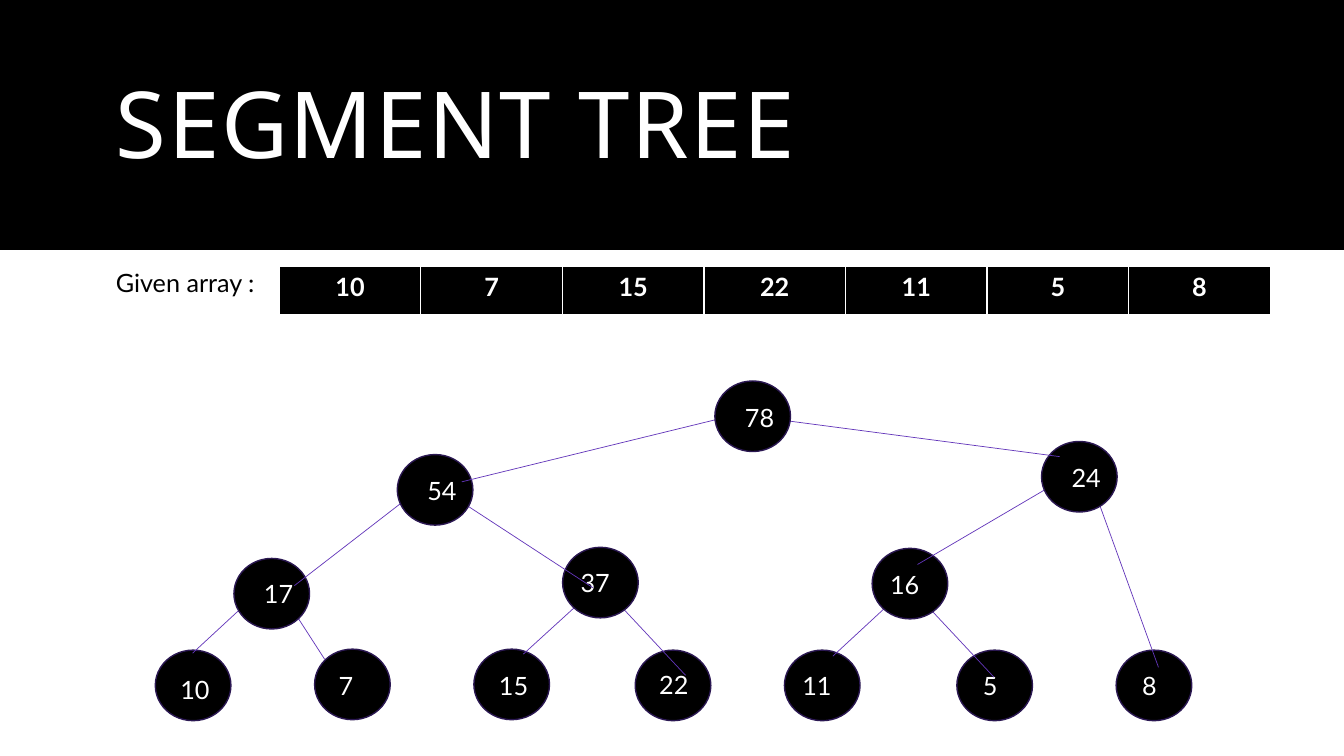
from dataclasses import dataclass

from lxml.etree import SubElement
from pptx import Presentation
from pptx.dml.color import RGBColor
from pptx.enum.shapes import MSO_CONNECTOR as Connector, MSO_SHAPE as Shape
from pptx.enum.text import MSO_ANCHOR as Anchor, PP_ALIGN as Align
from pptx.oxml.ns import qn
from pptx.util import Inches, Pt

BLACK = RGBColor(0, 0, 0)
WHITE = RGBColor(255, 255, 255)
OUTLINE = RGBColor(0x2B, 0x18, 0x52)
EDGE = RGBColor(0x63, 0x36, 0xBA)
ARRAY = (10, 7, 15, 22, 11, 5, 8)
BORDERS = {"a:lnL": 1, "a:lnR": 1, "a:lnT": 1, "a:lnB": 3}
NODE_WIDTH, NODE_HEIGHT = 0.75, 0.7

Point = tuple[float, float]


@dataclass(frozen=True)
class Node:
    value: int
    corner: Point
    label: Point
    branches: tuple["Branch", ...] = ()


@dataclass(frozen=True)
class Branch:
    start: Point
    end: Point
    child: Node


TREE = Node(78, (7.09, 3.78), (7.29, 3.94), (
    Branch((7.36, 4.1), (4.58, 4.78), Node(54, (3.94, 4.51), (4.14, 4.67), (
        Branch((4.2, 4.82), (2.92, 5.81), Node(17, (2.32, 5.54), (2.52, 5.69), (
            Branch((2.58, 5.86), (1.91, 6.48), Node(10, (1.54, 6.45), (1.69, 6.64))),
            Branch((2.82, 5.92), (3.22, 6.54), Node(7, (3.12, 6.44), (3.26, 6.6))),
        ))),
        Branch((4.44, 4.89), (5.88, 5.83), Node(37, (5.58, 5.43), (5.66, 5.58), (
            Branch((5.87, 5.87), (5.19, 6.49), Node(15, (4.7, 6.44), (4.85, 6.6))),
            Branch((6.07, 5.92), (6.8, 6.7), Node(22, (6.3, 6.45), (6.44, 6.59))),
        ))),
    ))),
    Branch((7.62, 4.15), (10.51, 4.53), Node(24, (10.33, 4.38), (10.53, 4.54), (
        Branch((10.6, 4.72), (9.1, 5.6), Node(16, (8.65, 5.44), (8.73, 5.6), (
            Branch((8.93, 5.89), (8.26, 6.51), Node(11, (7.78, 6.45), (7.86, 6.6))),
            Branch((9.13, 5.94), (9.86, 6.72), Node(5, (9.49, 6.45), (9.65, 6.6))),
        ))),
        Branch((10.82, 4.77), (11.49, 6.62), Node(8, (11.07, 6.45), (11.23, 6.6))),
    ))),
))

presentation = Presentation()
presentation.slide_width = Inches(13.33)
presentation.slide_height = Inches(7.5)
slide = presentation.slides.add_slide(presentation.slide_layouts[6])


def write_text(frame, text: str, *, size: float = 18, font: str = "Lato",
               color: RGBColor = WHITE, bold: bool = False,
               align: Align = Align.LEFT, anchor: Anchor = Anchor.TOP,
               line_spacing: float = 1.0, tracking: float = 0) -> None:
    frame.word_wrap = True
    frame.vertical_anchor = anchor
    paragraph = frame.paragraphs[0]
    paragraph.alignment = align
    paragraph.line_spacing = line_spacing
    run = paragraph.add_run()
    run.text = text
    run.font.size = Pt(size)
    run.font.name = font
    run.font.bold = bold
    run.font.color.rgb = color
    if tracking:
        run._r.get_or_add_rPr().set("spc", str(round(tracking * 100)))


def add_text(text: str, left: float, top: float, width: float, height: float,
             **text_format) -> None:
    box = slide.shapes.add_textbox(Inches(left), Inches(top), Inches(width), Inches(height))
    write_text(box.text_frame, text, **text_format)


def add_black_shape(kind: Shape, left: float, top: float, width: float, height: float,
                    outline: RGBColor | None = None) -> None:
    shape = slide.shapes.add_shape(kind, Inches(left), Inches(top), Inches(width), Inches(height))
    shape.shadow.inherit = False
    shape.fill.solid()
    shape.fill.fore_color.rgb = BLACK
    if outline is None:
        shape.line.fill.background()
    else:
        shape.line.color.rgb = outline
        shape.line.width = Pt(1)


def add_edge(start: Point, end: Point) -> None:
    connector = slide.shapes.add_connector(
        Connector.STRAIGHT, *(Inches(value) for value in start + end))
    connector.line.color.rgb = EDGE
    connector.line.width = Pt(0.5)
    SubElement(connector._element.spPr, qn("a:effectLst"))


def add_borders(cell) -> None:
    properties = cell._tc.get_or_add_tcPr()
    for tag, width in BORDERS.items():
        border = SubElement(properties, qn(tag), w=str(Pt(width)))
        fill = SubElement(border, qn("a:solidFill"))
        SubElement(fill, qn("a:srgbClr"), val=str(WHITE))


def add_array(values: tuple[int, ...]) -> None:
    table = slide.shapes.add_table(
        1, len(values), Inches(2.77), Inches(2.64), Inches(9.83), Inches(0.49)).table
    table.horz_banding = False
    for cell, value in zip(table.rows[0].cells, values):
        add_borders(cell)
        cell.fill.solid()
        cell.fill.fore_color.rgb = BLACK
        write_text(cell.text_frame, str(value), bold=True, align=Align.CENTER)


def add_tree(node: Node) -> None:
    for branch in node.branches:
        add_tree(branch.child)
        add_edge(branch.start, branch.end)
    add_black_shape(Shape.OVAL, *node.corner, NODE_WIDTH, NODE_HEIGHT, OUTLINE)
    add_text(str(node.value), *node.label, 0.6, 0.4)


add_black_shape(Shape.RECTANGLE, 0, 0, 13.33, 2.48)
add_text("SEGMENT TREE", 1.05, 0.35, 11.23, 1.86, size=66, font="Noto Sans",
         anchor=Anchor.MIDDLE, line_spacing=0.9, tracking=1.2)
add_array(ARRAY)
add_text("Given array :\u00a0", 1.05, 2.6, 3.76, 0.4, color=BLACK)
add_tree(TREE)
presentation.save("out.pptx")
